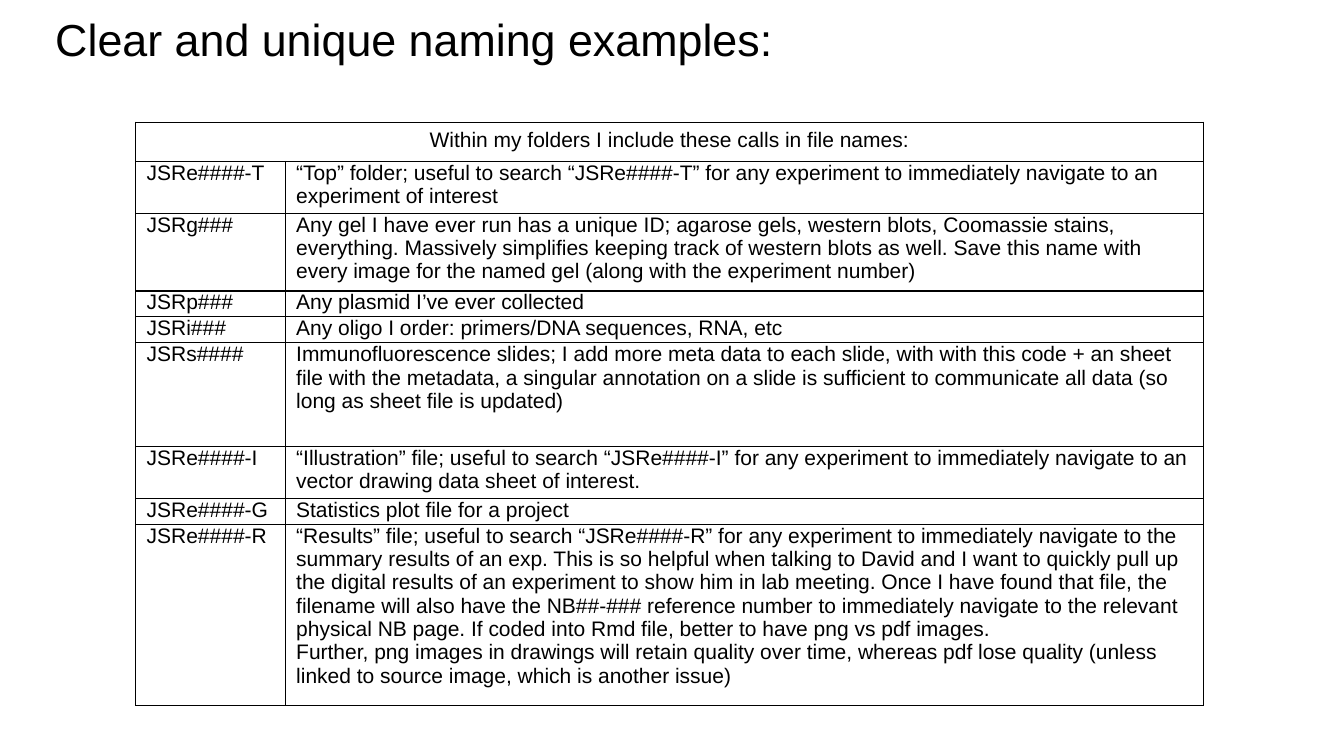
from typing import NamedTuple

from lxml import etree
from pptx import Presentation
from pptx.dml.color import RGBColor
from pptx.enum.text import MSO_ANCHOR, PP_ALIGN
from pptx.oxml.ns import qn
from pptx.util import Pt

BLACK = RGBColor(0, 0, 0)
TOP = MSO_ANCHOR.TOP
LEFT = PP_ALIGN.LEFT
CENTER = PP_ALIGN.CENTER
FONT = "Arial"
SIDES = ("a:lnL", "a:lnR", "a:lnT", "a:lnB")
TITLE = "Clear and unique naming examples:"
HEAD = "Within my folders I include these calls in file names:"
WIDTHS = (106.8, 655.6)
HEAD_ROW = 28


class Entry(NamedTuple):
    code: str
    notes: tuple[str, ...]
    height: float


ENTRIES = (
    Entry("JSRe####-T", (
        "“Top” folder; useful to search “JSRe####-T” for any experiment to "
        "immediately navigate to an experiment of interest",), 37.1),
    Entry("JSRg###", (
        "Any gel I have ever run has a unique ID; agarose gels, western blots, "
        "Coomassie stains, everything. Massively simplifies keeping track of "
        "western blots as well. Save this name with every image for the named "
        "gel (along with the experiment number)",), 55.5),
    Entry("JSRp###", ("Any plasmid I’ve ever collected",), 18.5),
    Entry("JSRi###", ("Any oligo I order: primers/DNA sequences, RNA, etc",), 18.5),
    Entry("JSRs####", (
        "Immunofluorescence slides; I add more meta data to each slide, with "
        "with this code + an sheet file with the metadata, a singular annotation "
        "on a slide is sufficient to communicate all data (so long as sheet "
        "file is updated)",), 74.1),
    Entry("JSRe####-I", (
        "“Illustration” file; useful to search “JSRe####-I” for any experiment "
        "to immediately navigate to an vector drawing data sheet of interest.",), 37.1),
    Entry("JSRe####-G", ("Statistics plot file for a project",), 18.5),
    Entry("JSRe####-R", (
        "“Results” file; useful to search “JSRe####-R” for any experiment to "
        "immediately navigate to the summary results of an exp. This is so "
        "helpful when talking to David and I want to quickly pull up the digital "
        "results of an experiment to show him in lab meeting. Once I have found "
        "that file, the filename will also have the NB##-### reference number to "
        "immediately navigate to the relevant physical NB page. If coded into "
        "Rmd file, better to have png vs pdf images.",
        "Further, png images in drawings will retain quality over time, whereas "
        "pdf lose quality (unless linked to source image, which is another "
        "issue)"), 129.6),
)


def write(frame, lines: tuple[str, ...], size: float, align=LEFT) -> None:
    for i, line in enumerate(lines):
        para = frame.add_paragraph() if i else frame.paragraphs[0]
        para.alignment = align
        run = para.add_run()
        run.text = line
        run.font.name = FONT
        run.font.size = Pt(size)
        run.font.bold = False
        run.font.color.rgb = BLACK


def border(cell) -> None:
    props = cell._tc.get_or_add_tcPr()
    for i, side in enumerate(SIDES):
        line = etree.Element(qn(side), w=str(Pt(1)))
        fill = etree.SubElement(line, qn("a:solidFill"))
        etree.SubElement(fill, qn("a:srgbClr"), val=str(BLACK))
        props.insert(i, line)


def fill_cell(cell, lines: tuple[str, ...], side: float = 7.8,
              edge: float = 0, align=LEFT) -> None:
    cell.margin_left = cell.margin_right = Pt(side)
    cell.margin_top = cell.margin_bottom = Pt(edge)
    cell.vertical_anchor = TOP
    write(cell.text_frame, lines, 15, align)


def add_title(slide) -> None:
    box = slide.shapes.add_textbox(Pt(32.4), Pt(10.8), Pt(890.6), Pt(67.7))
    frame = box.text_frame
    frame.word_wrap = True
    frame.vertical_anchor = TOP
    frame.margin_top = Pt(2)
    write(frame, (TITLE,), 32)
    frame.paragraphs[0].line_spacing = 0.9


def add_grid(slide) -> None:
    heights = (HEAD_ROW, *(entry.height for entry in ENTRIES))
    shape = slide.shapes.add_table(len(heights), len(WIDTHS), Pt(97), Pt(87.3),
                                   Pt(sum(WIDTHS)), Pt(sum(heights)))
    table = shape.table
    table.first_row = table.horz_banding = False
    for col, width in zip(table.columns, WIDTHS):
        col.width = Pt(width)
    for row, height in zip(table.rows, heights):
        row.height = Pt(height)
    for cell in table.iter_cells():
        cell.fill.background()
        border(cell)
    head = table.cell(0, 0)
    head.merge(table.cell(0, 1))
    fill_cell(head, (HEAD,), 8.6, 4.3, CENTER)
    for i, entry in enumerate(ENTRIES, 1):
        fill_cell(table.cell(i, 0), (entry.code,))
        fill_cell(table.cell(i, 1), entry.notes)


def main() -> None:
    deck = Presentation()
    deck.slide_width = Pt(960)
    deck.slide_height = Pt(540)
    slide = deck.slides.add_slide(deck.slide_layouts[6])
    add_title(slide)
    add_grid(slide)
    deck.save("out.pptx")


if __name__ == "__main__":
    main()
